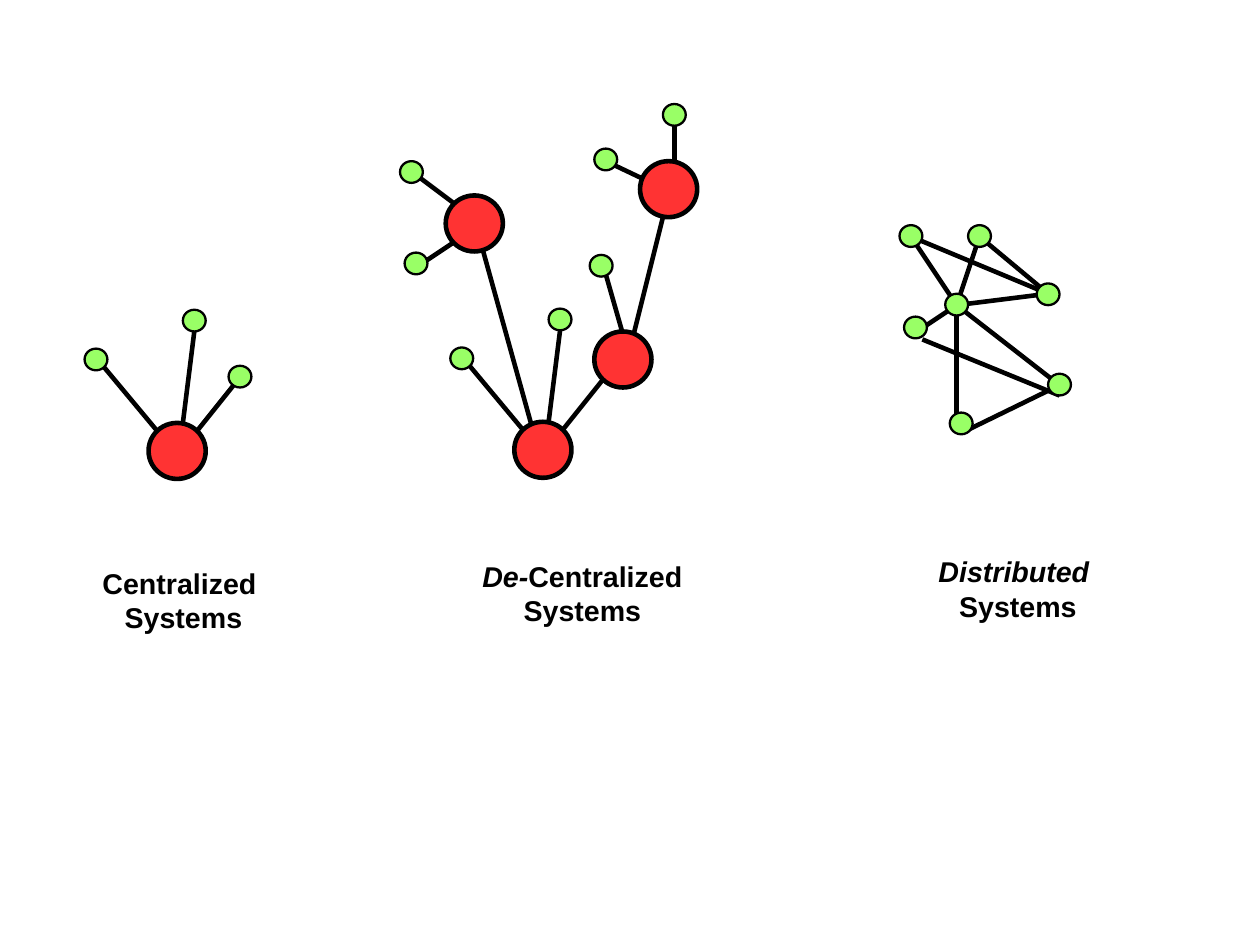
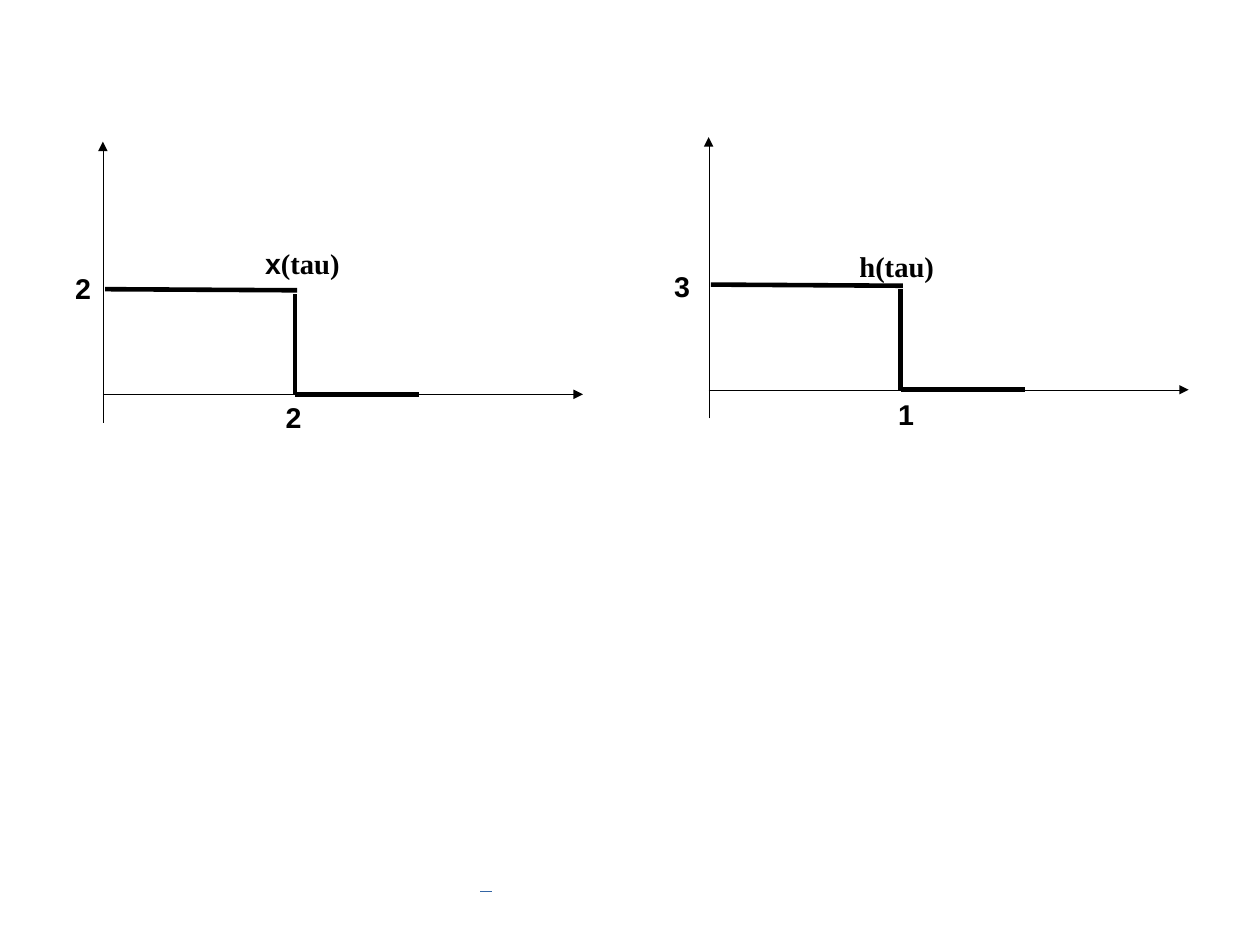
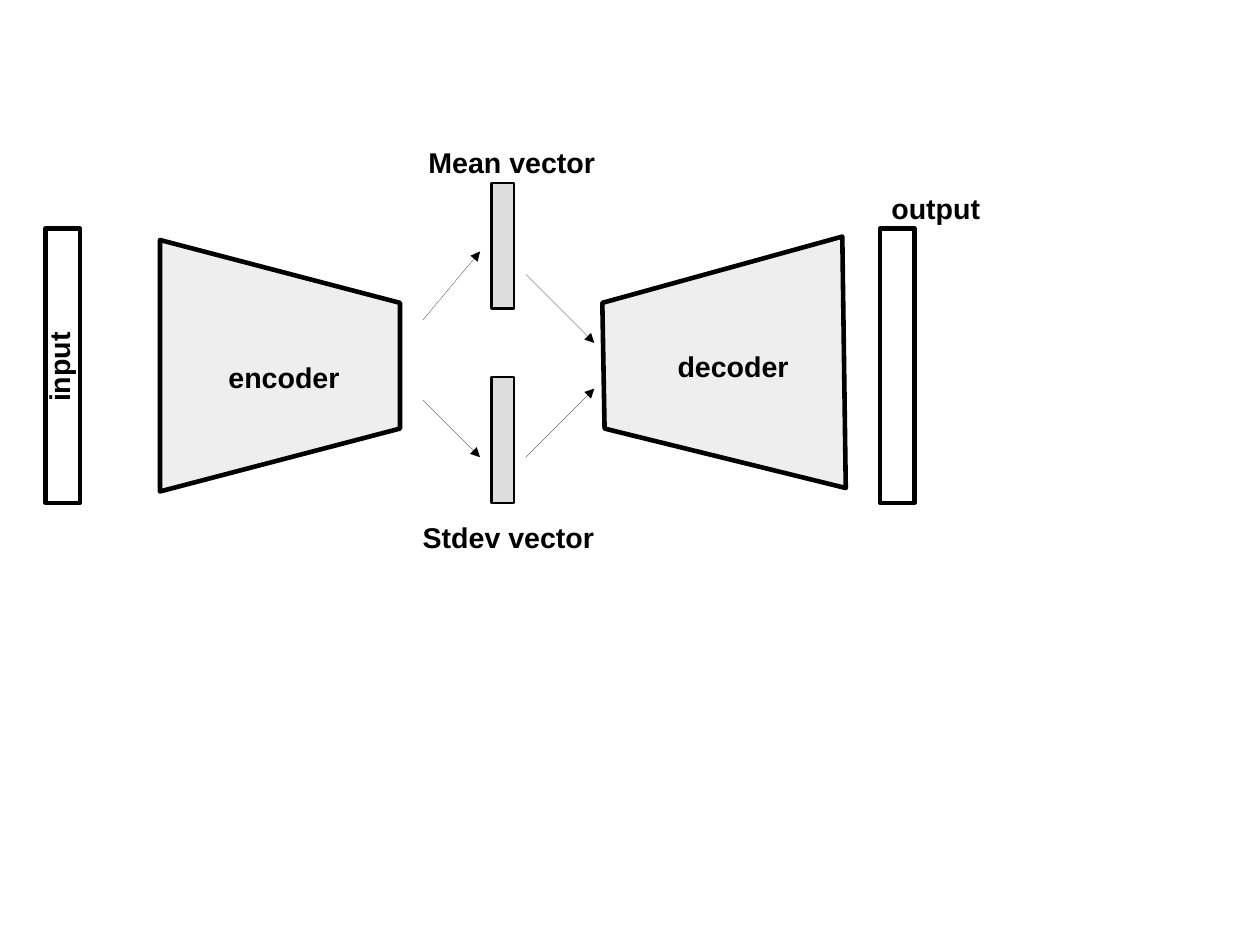
from dataclasses import dataclass

from lxml import etree
from pptx import Presentation
from pptx import util as u
from pptx.dml.color import RGBColor
from pptx.enum import shapes, text
from pptx.oxml import ns


@dataclass(frozen=True)
class Theme:
    ink: RGBColor = RGBColor.from_string("000000")
    hub: RGBColor = RGBColor.from_string("FF3333")
    leaf: RGBColor = RGBColor.from_string("99FF66")
    network: RGBColor = RGBColor.from_string("EEEEEE")
    vector: RGBColor = RGBColor.from_string("DDDDDD")
    dash_fill: RGBColor = RGBColor.from_string("729FCF")
    dash_line: RGBColor = RGBColor.from_string("3465A4")
    sans: str = "Arial"
    serif: str = "Times New Roman"
    size: float = 18
    thick: float = 2.89
    medium: float = 1.45


theme = Theme()


def add_line(page, start, end, arrow=False):
    points = [u.Inches(value) for value in (*start, *end)]
    line = page.shapes.add_connector(shapes.MSO_CONNECTOR.STRAIGHT, *points)
    line.line.color.rgb = theme.ink
    line.line.width = u.Pt(theme.thick)
    properties = line._element.spPr
    if arrow:
        outline = properties.get_or_add_ln()
        outline.set("w", "0")
        etree.SubElement(outline, ns.qn("a:tailEnd"), type="triangle")
    etree.SubElement(properties, ns.qn("a:effectLst"))


def add_label(page, place, lines, wrap=False, align=text.PP_ALIGN.LEFT):
    box = page.shapes.add_textbox(*[u.Inches(value) for value in place])
    frame = box.text_frame
    frame.word_wrap = wrap
    for index, spans in enumerate(lines):
        para = frame.add_paragraph() if index else frame.paragraphs[0]
        para.alignment = align
        for words, face, italic in spans:
            span = para.add_run()
            span.text = words
            span.font.name = face
            span.font.size = u.Pt(theme.size)
            span.font.bold = True
            span.font.italic = italic
            span.font.color.rgb = theme.ink
    return box


deck = Presentation()
deck.slide_width = u.Cm(28)
deck.slide_height = u.Cm(21)
blank = deck.slide_layouts[6]

page = deck.slides.add_slide(blank)
links = [
    ((1.7, 3.8), (2.1, 3.3)),
    ((1.4, 3.8), (0.9, 3.2)),
    ((1.6, 3.7), (1.7, 2.9)),
    ((4.9, 3.79), (5.3, 3.29)),
    ((4.6, 3.79), (4.1, 3.19)),
    ((4.8, 3.69), (4.9, 2.89)),
    ((3.7, 2.3), (4, 2.1)),
    ((3.6, 1.5), (4, 1.8)),
    ((4.7, 3.9), (4.2, 2.1)),
    ((5.3, 1.41), (5.7, 1.6)),
    ((5.9, 1), (5.9, 1.6)),
    ((5.5, 3.1), (5.8, 1.9)),
    ((5.5, 3.1), (5.3, 2.4)),
    ((9.27, 3.37), (8.47, 3.76)),
    ((8.07, 2.97), (9.27, 3.46)),
    ((8.07, 2.87), (8.37, 2.67)),
    ((7.97, 2.07), (8.37, 2.67)),
    ((8.37, 3.67), (8.37, 2.67)),
    ((8.57, 2.07), (9.17, 2.57)),
    ((8.37, 2.67), (9.27, 3.37)),
    ((9.17, 2.57), (8.37, 2.67)),
    ((8.57, 2.07), (8.37, 2.67)),
    ((7.97, 2.07), (9.17, 2.57)),
]
for start, end in links:
    add_line(page, start, end)

hubs = [(1.3, 3.7), (3.9, 1.71), (5.6, 1.41), (4.5, 3.69), (5.2, 2.9)]
leaves = [
    (0.74, 3.05), (1.6, 2.71), (2, 3.2),
    (3.94, 3.04), (4.8, 2.7), (3.54, 2.21), (3.5, 1.41),
    (5.16, 2.23), (5.8, 0.91), (5.2, 1.3),
    (8.31, 3.61), (9.17, 3.27), (9.07, 2.48), (8.47, 1.97),
    (7.87, 1.97), (8.27, 2.57), (7.91, 2.77),
]
node_kinds = [
    (hubs, (0.5, 0.49), theme.hub, theme.thick),
    (leaves, (0.2, 0.19), theme.leaf, theme.medium),
]
for corners, size, color, weight in node_kinds:
    for corner in corners:
        place = [u.Inches(value) for value in (*corner, *size)]
        node = page.shapes.add_shape(shapes.MSO_SHAPE.OVAL, *place)
        node.shadow.inherit = False
        node.fill.solid()
        node.fill.fore_color.rgb = color
        node.line.color.rgb = theme.ink
        node.line.width = u.Pt(weight)

captions = [
    ((0.79, 4.9, 1.63, 0.86), [("Centralized ", theme.sans, False)]),
    ((4.09, 4.84, 2.01, 0.94), [("De-", theme.sans, True), ("Centralized ", theme.sans, False)]),
    ((7.9, 4.8, 2.01, 0.94), [("Distributed ", theme.sans, True)]),
]
for place, kind in captions:
    lines = [kind, [("Systems", theme.sans, False)]]
    add_label(page, place, lines, wrap=True, align=text.PP_ALIGN.CENTER)

page = deck.slides.add_slide(blank)
axes = [((0, 0.25), (0, -2.21)), ((0, 0), (4.2, 0))]
steps = [
    ((0.02, -0.92), (1.7, -0.91)),
    ((1.68, 0), (1.68, -0.88)),
    ((1.68, 0), (2.77, 0)),
]
for left, base in [(0.9, 3.45), (6.2, 3.41)]:
    for start, end in axes + steps:
        add_line(
            page,
            (left + start[0], base + start[1]),
            (left + end[0], base + end[1]),
            arrow=(start, end) in axes,
        )

for words, left, top in [("2", 0.56, 2.32), ("3", 5.8, 2.3), ("2", 2.4, 3.45), ("1", 7.76, 3.42)]:
    add_label(page, (left, top, 0.34, 0.38), [[(words, theme.sans, False)]])
tau_labels = [
    ((2.22, 2.1, 0.98, 0.57), [("x", theme.sans, False), ("(tau)", theme.serif, False)]),
    ((7.42, 2.13, 0.98, 0.57), [("h(tau)", theme.serif, False)]),
]
for place, spans in tau_labels:
    add_label(page, place, [spans], wrap=True)

dash = page.shapes.add_shape(
    shapes.MSO_SHAPE.RIGHT_ARROW, u.Inches(4.2), u.Inches(7.8), u.Inches(0.1), u.Inches(0)
)
dash.adjustments[1] = 63.5
dash.shadow.inherit = False
dash.fill.solid()
dash.fill.fore_color.rgb = theme.dash_fill
dash.line.color.rgb = theme.dash_line
dash._element.spPr.get_or_add_ln().set("w", "0")

page = deck.slides.add_slide(blank)
parts = []
networks = [
    [(1.4, 4.3), (1.4, 2.1), (3.5, 2.65), (3.5, 3.75)],
    [(7.37, 2.07), (7.4, 4.27), (5.29, 3.75), (5.27, 2.65)],
]
for corners in networks:
    points = [(u.Inches(x), u.Inches(y)) for x, y in corners]
    builder = page.shapes.build_freeform(*points[0])
    builder.add_line_segments(points[1:], close=True)
    parts.append((builder.convert_to_shape(), theme.network, theme.thick))

bars = [
    ((0.4, 2, 0.3, 2.4), None, theme.thick),
    ((7.7, 2, 0.3, 2.4), None, theme.thick),
    ((4.3, 1.6, 0.2, 1.1), theme.vector, theme.medium),
    ((4.3, 3.3, 0.2, 1.1), theme.vector, theme.medium),
]
for place, color, weight in bars:
    bar = page.shapes.add_shape(
        shapes.MSO_SHAPE.RECTANGLE, *[u.Inches(value) for value in place]
    )
    parts.append((bar, color, weight))

for part, color, weight in parts:
    part.shadow.inherit = False
    if color is None:
        part.fill.background()
    else:
        part.fill.solid()
        part.fill.fore_color.rgb = color
    part.line.color.rgb = theme.ink
    part.line.width = u.Pt(weight)

flows = [
    ((3.7, 2.8), (4.2, 2.2)),
    ((3.7, 3.5), (4.2, 4)),
    ((4.6, 2.4), (5.2, 3)),
    ((4.6, 4), (5.2, 3.4)),
]
for start, end in flows:
    add_line(page, start, end, arrow=True)

labels = [
    ("input", 0.1, 3.02, 0.81, 270),
    ("encoder", 1.9, 3.1, 1.17, 0),
    ("Stdev vector", 3.6, 4.5, 1.7, 0),
    ("Mean vector", 3.65, 1.22, 1.66, 0),
    ("decoder", 5.83, 3, 1.17, 0),
    ("output", 7.7, 1.62, 0.98, 0),
]
for words, left, top, width, turn in labels:
    label = add_label(page, (left, top, width, 0.38), [[(words, theme.sans, False)]])
    label.rotation = turn

deck.save("out.pptx")
